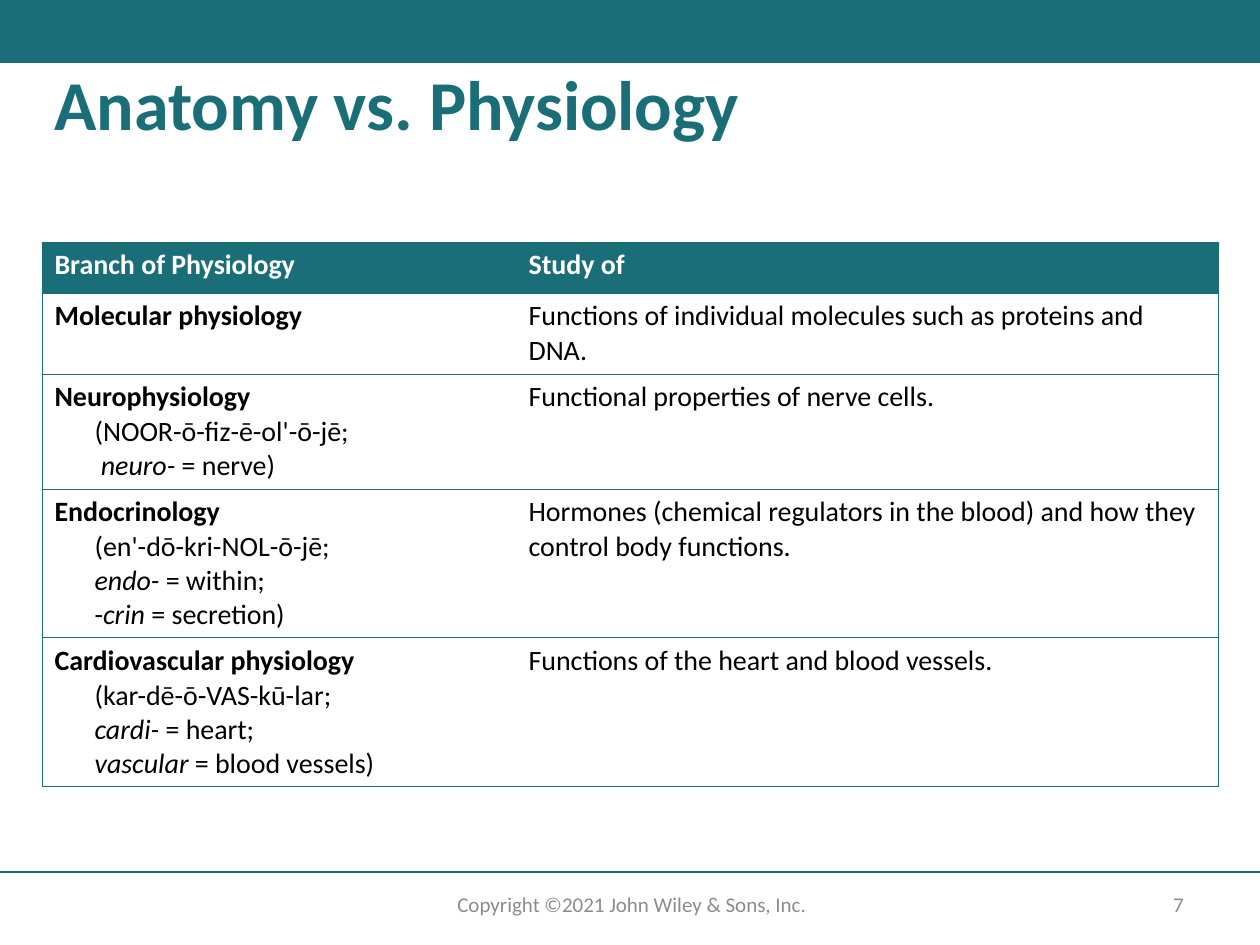
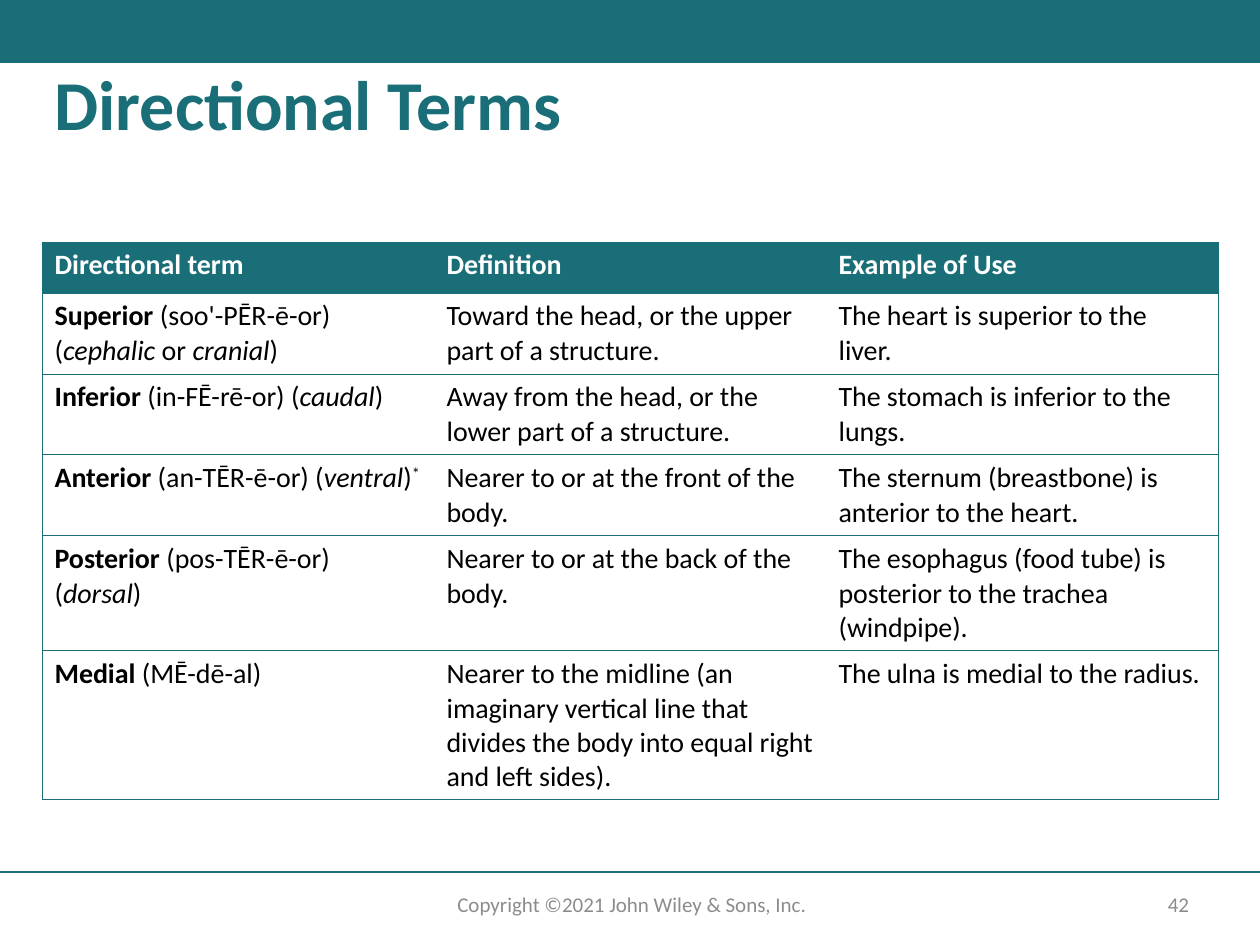
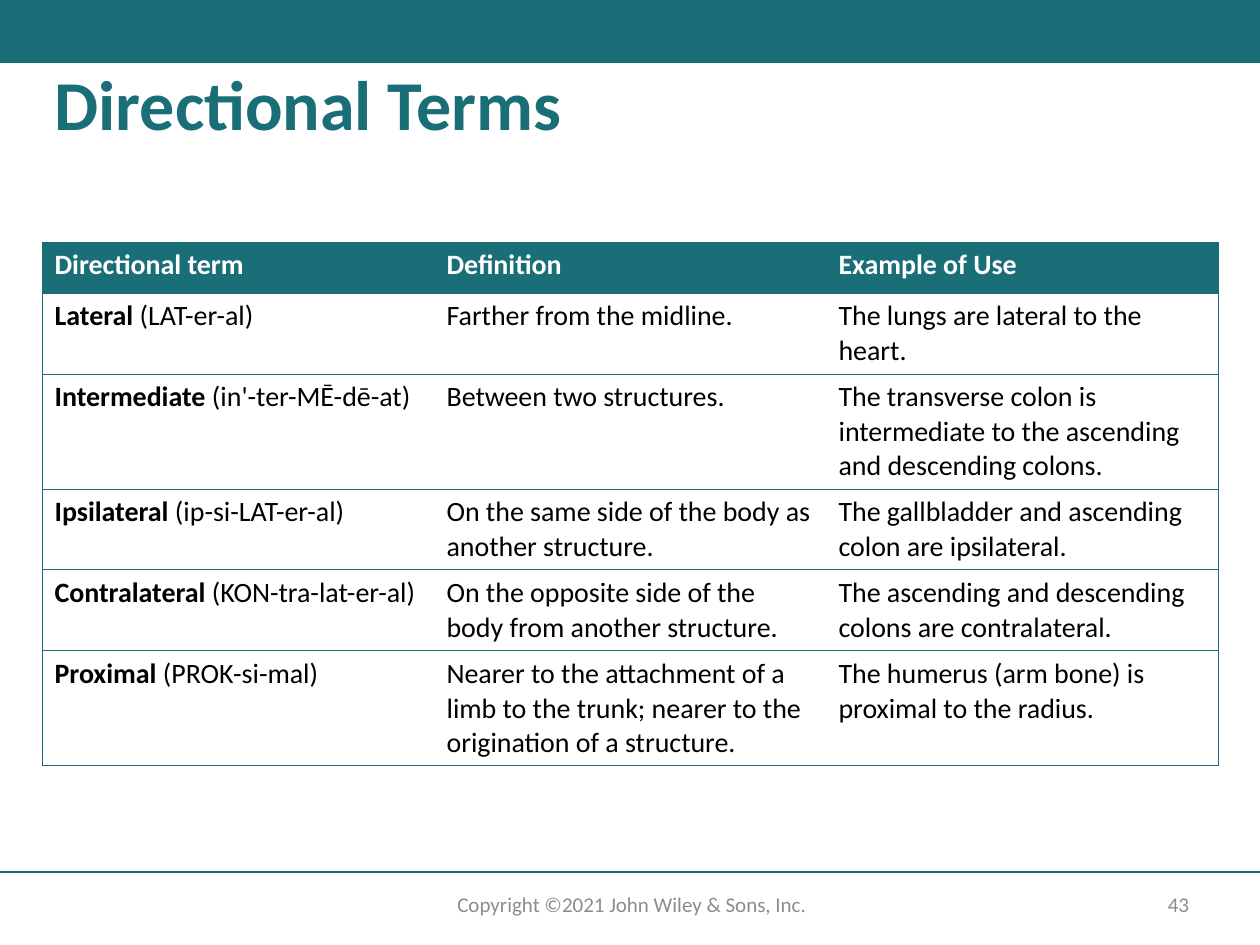
from dataclasses import dataclass
from typing import NamedTuple

from lxml.etree import SubElement
from pptx import Presentation
from pptx.dml.color import RGBColor
from pptx.enum.shapes import MSO_CONNECTOR, MSO_SHAPE
from pptx.enum.text import MSO_ANCHOR, MSO_AUTO_SIZE, PP_ALIGN
from pptx.oxml.ns import qn
from pptx.presentation import Presentation as Deck
from pptx.slide import Slide
from pptx.table import _Cell
from pptx.text.text import Font, _Paragraph
from pptx.util import Emu, Pt

COLORS = {"teal": "196E78", "grey": "8C8C8C", "black": "000000", "white": "FFFFFF"}
FONT = "Calibri"
COPYRIGHT = "Copyright ©2021 John Wiley & Sons, Inc."
SLIDE_WIDTH, SLIDE_HEIGHT = 1260, 945
BAND_HEIGHT = 63
RULE_TOP = 872
TABLE_LEFT, TABLE_TOP = 42, 242
HEADER_HEIGHT, LINE_HEIGHT, CELL_PADDING = 51, 34, 13
TERM_INDENT = 40


class Box(NamedTuple):
    left: int
    top: int
    width: int
    height: int


class Span(NamedTuple):
    text: str
    bold: bool = False
    italic: bool = False
    raised: bool = False


Line = tuple[Span, ...]
Content = tuple[Line, ...]


@dataclass(frozen=True)
class Row:
    lines: int
    cells: tuple[Content, ...]


@dataclass(frozen=True)
class TablePage:
    number: int
    title: str
    headings: tuple[str, ...]
    widths: tuple[int, ...]
    rows: tuple[Row, ...]


TITLE_BOX = Box(42, 64, 1176, 116)
COPYRIGHT_BOX = Box(406, 885, 452, 38)
NUMBER_BOX = Box(1140, 887, 77, 35)


def px(length: int) -> Emu:
    return Emu(round(length * 914400 / 126))


def place(box: Box) -> tuple[Emu, ...]:
    return tuple(px(length) for length in box)


def rgb(color: str) -> RGBColor:
    return RGBColor.from_string(COLORS[color])


def plain(text: str) -> Line:
    return (Span(text),)


def italic(text: str) -> Span:
    return Span(text, italic=True)


def branch(lines: int, name: str, study: str, *details: Line) -> Row:
    return Row(lines, (((Span(name, bold=True),), *details), (plain(study),)))


def term(lines: int, name: str, sound: str, definition: str, example: str,
         *synonym: Span) -> Row:
    heading = (Span(name, bold=True), Span(f" ({sound})"), *synonym)
    meaning = tuple(plain(part) for part in definition.split("\n"))
    return Row(lines, ((heading,), meaning, (plain(example),)))


def style(font: Font, size: int, color: str, bold: bool = False) -> None:
    font.name = FONT
    font.size = Pt(size)
    font.bold = bold
    font.color.rgb = rgb(color)


def add_band(slide: Slide) -> None:
    band = slide.shapes.add_shape(
        MSO_SHAPE.RECTANGLE, *place(Box(0, 0, SLIDE_WIDTH, BAND_HEIGHT)))
    band.shadow.inherit = False
    band.fill.solid()
    band.fill.fore_color.rgb = rgb("teal")
    band.line.fill.background()


def add_rule(slide: Slide) -> None:
    rule = slide.shapes.add_connector(
        MSO_CONNECTOR.STRAIGHT, 0, px(RULE_TOP), px(SLIDE_WIDTH), px(RULE_TOP))
    rule.line.color.rgb = rgb("teal")
    rule.line.width = Pt(1)
    SubElement(rule._element.spPr, qn("a:effectLst"))


def add_footer(slide: Slide, box: Box, text: str, anchor: MSO_ANCHOR) -> None:
    frame = slide.shapes.add_textbox(*place(box)).text_frame
    frame.word_wrap = True
    frame.vertical_anchor = anchor
    frame.text = text
    paragraph = frame.paragraphs[0]
    paragraph.alignment = PP_ALIGN.CENTER
    style(paragraph.runs[0].font, 12, "grey")


def set_title(slide: Slide, text: str) -> None:
    title = slide.shapes.title
    title.left, title.top, title.width, title.height = place(TITLE_BOX)
    frame = title.text_frame
    frame.text = text
    frame.word_wrap = True
    frame.auto_size = MSO_AUTO_SIZE.NONE
    frame.vertical_anchor = MSO_ANCHOR.TOP
    paragraph = frame.paragraphs[0]
    paragraph.alignment = PP_ALIGN.LEFT
    paragraph.line_spacing = 0.9
    style(paragraph.runs[0].font, 40, "teal", bold=True)


def set_borders(cell: _Cell, first: bool, last: bool) -> None:
    properties = cell._tc.get_or_add_tcPr()
    for side, visible in (("L", first), ("R", last), ("T", True), ("B", True)):
        border = SubElement(properties, qn(f"a:ln{side}"), w=str(Pt(0.5)))
        if visible:
            fill = SubElement(border, qn("a:solidFill"))
            SubElement(fill, qn("a:srgbClr"), val=COLORS["teal"])
        else:
            SubElement(border, qn("a:noFill"))


def add_spans(paragraph: _Paragraph, line: Line, color: str) -> None:
    for span in line:
        run = paragraph.add_run()
        run.text = span.text
        style(run.font, 16, color, span.bold)
        run.font.italic = span.italic
        if span.raised:
            run._r.get_or_add_rPr().set("baseline", "30000")


def fill_cell(cell: _Cell, content: Content, color: str, indent: int) -> None:
    frame = cell.text_frame
    for index, line in enumerate(content):
        paragraph = frame.add_paragraph() if index else frame.paragraphs[0]
        if index and indent:
            properties = paragraph._p.get_or_add_pPr()
            properties.set("marL", str(px(indent)))
            properties.set("indent", "0")
        add_spans(paragraph, line, color)


def add_page_table(slide: Slide, page: TablePage) -> None:
    header = Row(1, tuple(((Span(text, bold=True),),) for text in page.headings))
    rows = (header, *page.rows)
    heights = [HEADER_HEIGHT] + [CELL_PADDING + LINE_HEIGHT * row.lines
                                 for row in page.rows]
    box = Box(TABLE_LEFT, TABLE_TOP, sum(page.widths), sum(heights))
    table = slide.shapes.add_table(len(rows), len(page.widths), *place(box)).table
    table.horz_banding = False
    for column, width in zip(table.columns, page.widths):
        column.width = px(width)
    last = len(page.widths) - 1
    for r, (row, height) in enumerate(zip(rows, heights)):
        table.rows[r].height = px(height)
        for c, content in enumerate(row.cells):
            cell = table.cell(r, c)
            set_borders(cell, c == 0, c == last)
            if r == 0:
                cell.fill.solid()
                cell.fill.fore_color.rgb = rgb("teal")
            else:
                cell.fill.background()
            fill_cell(cell, content, "black" if r else "white",
                      TERM_INDENT if c == 0 else 0)


def add_page(deck: Deck, page: TablePage) -> None:
    slide = deck.slides.add_slide(deck.slide_layouts[5])
    add_band(slide)
    add_rule(slide)
    add_footer(slide, COPYRIGHT_BOX, COPYRIGHT, MSO_ANCHOR.TOP)
    add_footer(slide, NUMBER_BOX, str(page.number), MSO_ANCHOR.MIDDLE)
    set_title(slide, page.title)
    add_page_table(slide, page)


def directional_page(number: int, *rows: Row) -> TablePage:
    return TablePage(number, "Directional Terms",
                     ("Directional term", "Definition", "Example of Use"),
                     (392,) * 3, rows)


PAGES = (
    TablePage(7, "Anatomy vs. Physiology", ("Branch of Physiology", "Study of"),
              (474, 702), (
        branch(2, "Molecular physiology",
               "Functions of individual molecules such as proteins and DNA."),
        branch(3, "Neurophysiology", "Functional properties of nerve cells.",
               plain("(NOOR-ō-fiz-ē-ol'-ō-jē;"),
               (Span(" "), italic("neuro-"), Span(" = nerve)"))),
        branch(4, "Endocrinology",
               "Hormones (chemical regulators in the blood) and how they "
               "control body functions.",
               plain("(en'-dō-kri-NOL-ō-jē;"),
               (italic("endo-"), Span(" = within;")),
               (Span("-"), italic("crin"), Span(" = secretion)"))),
        branch(4, "Cardiovascular physiology",
               "Functions of the heart and blood vessels.",
               plain("(kar-dē-ō-VAS-kū-lar;"),
               (italic("cardi-"), Span(" = heart;")),
               (italic("vascular"), Span(" = blood vessels)"))),
    )),
    directional_page(
        42,
        term(2, "Superior", "soo'-PĒR-ē-or",
             "Toward the head, or the upper part of a structure.",
             "The heart is superior to the liver.",
             Span(" ("), italic("cephalic"), Span(" or "), italic("cranial"), Span(")")),
        term(2, "Inferior", "in-FĒ-rē-or",
             "Away from the head, or the lower part of a structure.",
             "The stomach is inferior to the lungs.",
             Span(" ("), italic("caudal"), Span(")")),
        term(2, "Anterior", "an-TĒR-ē-or",
             "Nearer to or at the front of the body.",
             "The sternum (breastbone) is anterior to the heart.",
             Span(" ("), italic("ventral"), Span(")"), Span("*", raised=True)),
        term(3, "Posterior", "pos-TĒR-ē-or",
             "Nearer to or at the back of the body.",
             "The esophagus (food tube) is posterior to the trachea (windpipe).",
             Span(" ("), italic("dorsal"), Span(")")),
        term(4, "Medial", "MĒ-dē-al",
             "Nearer to the midline (an imaginary vertical line that\n"
             "divides the body into equal right and left sides).",
             "The ulna is medial to the radius."),
    ),
    directional_page(
        43,
        term(2, "Lateral", "LAT-er-al", "Farther from the midline.",
             "The lungs are lateral to the heart."),
        term(3, "Intermediate", "in'-ter-MĒ-dē-at", "Between two structures.",
             "The transverse colon is intermediate to the ascending and "
             "descending colons."),
        term(2, "Ipsilateral", "ip-si-LAT-er-al",
             "On the same side of the body as another structure.",
             "The gallbladder and ascending colon are ipsilateral."),
        term(2, "Contralateral", "KON-tra-lat-er-al",
             "On the opposite side of the body from another structure.",
             "The ascending and descending colons are contralateral."),
        term(3, "Proximal", "PROK-si-mal",
             "Nearer to the attachment of a limb to the trunk; nearer to the "
             "origination of a structure.",
             "The humerus (arm bone) is proximal to the radius."),
    ),
)


def main() -> None:
    deck = Presentation()
    deck.slide_width, deck.slide_height = px(SLIDE_WIDTH), px(SLIDE_HEIGHT)
    for page in PAGES:
        add_page(deck, page)
    deck.save("out.pptx")


if __name__ == "__main__":
    main()
